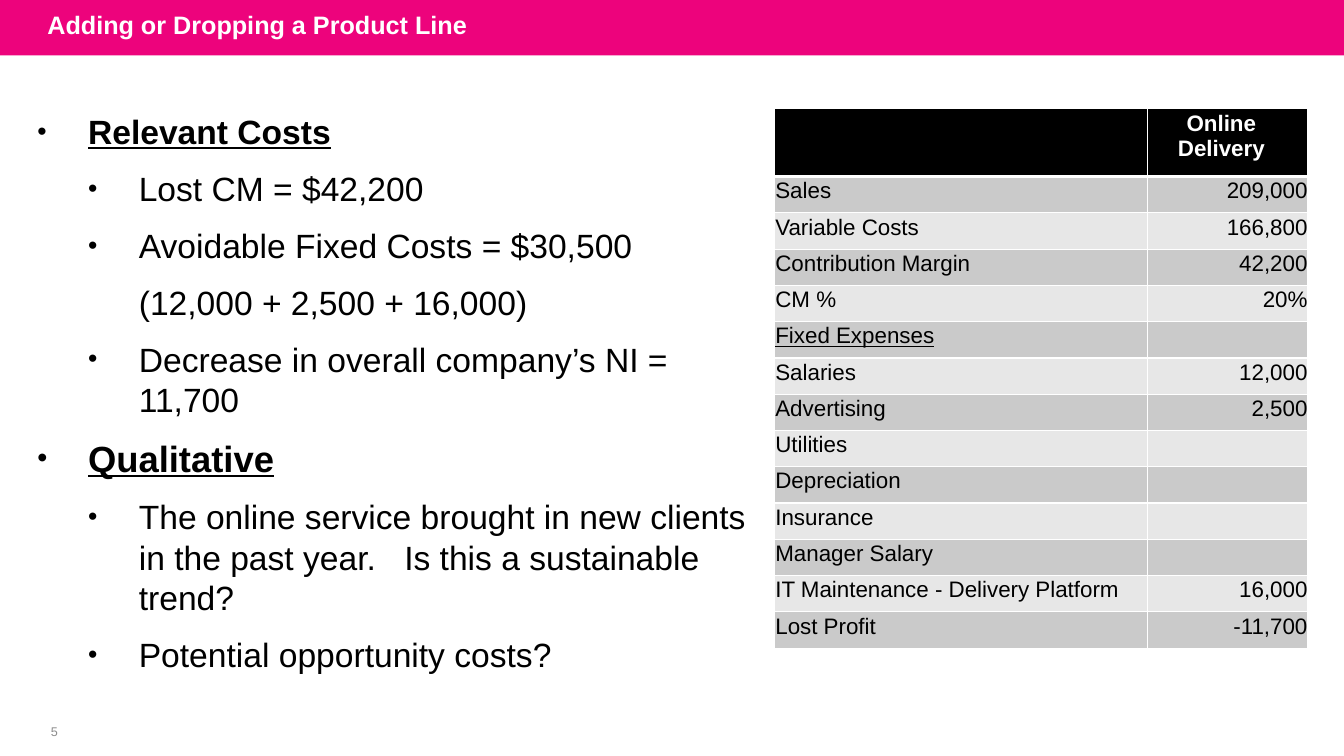
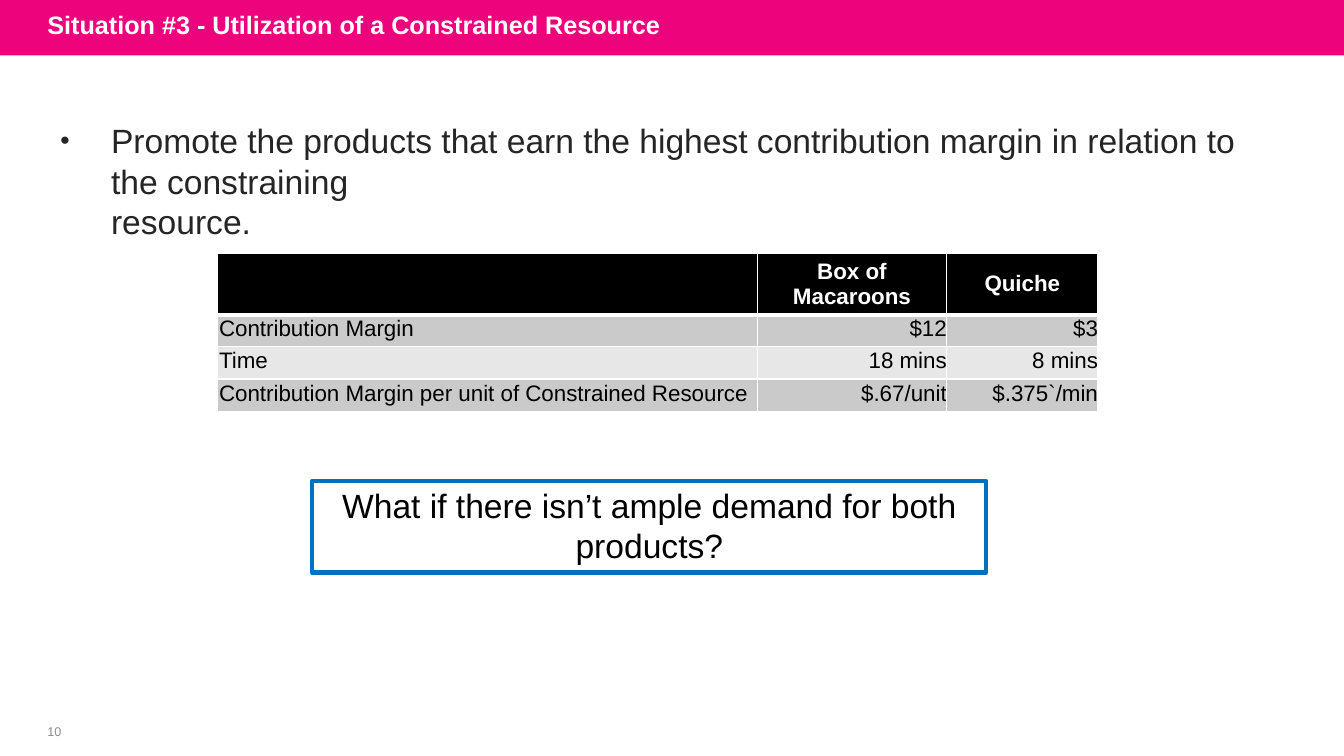
from lxml.etree import SubElement
from pptx import Presentation
from pptx.dml.color import RGBColor
from pptx.enum.shapes import MSO_SHAPE as Shape
from pptx.enum.text import MSO_ANCHOR as Anchor, MSO_AUTO_SIZE as Fit, PP_ALIGN as Align
from pptx.oxml.ns import qn
from pptx.util import Cm, Pt


def color(code):
    return RGBColor.from_string(code)


class Deck:
    font = "Arial"
    pink, white, black = "ED037C", "FFFFFF", "000000"
    gray, ink, blue = "8C8C8C", "252525", "0070C0"
    bands = ("CACACA", "E7E7E7")
    wide, high, bar = 33.87, 19.05, 1.4
    step = 1.28

    def __init__(self):
        self.file = Presentation()
        self.file.slide_width = Cm(self.wide)
        self.file.slide_height = Cm(self.high)
        self.slide = None

    def style(self, para, size, tone, bold=False, under=False, align=Align.LEFT, before=0):
        para.alignment = align
        para.space_before = Pt(before)
        for run in para.runs:
            face = run.font
            face.name, face.size = self.font, Pt(size)
            face.bold, face.underline = bold, under
            face.color.rgb = color(tone)

    def inset(self, item, left=0, top=0, right=0, bottom=0):
        item.margin_left, item.margin_top = Cm(left), Cm(top)
        item.margin_right, item.margin_bottom = Cm(right), Cm(bottom)

    def rect(self, left, top, width, height, fill=None, line=None):
        box = self.slide.shapes.add_shape(
            Shape.RECTANGLE, Cm(left), Cm(top), Cm(width), Cm(height))
        box.shadow.inherit = False
        if fill:
            box.fill.solid()
            box.fill.fore_color.rgb = color(fill)
        else:
            box.fill.background()
        if line:
            box.line.color.rgb = color(line)
            box.line.width = Pt(3)
        else:
            box.line.fill.background()
        return box

    def text(self, left, top, width, height, inset=0):
        box = self.slide.shapes.add_textbox(Cm(left), Cm(top), Cm(width), Cm(height))
        frame = box.text_frame
        frame.word_wrap = True
        self.inset(frame, top=inset)
        return frame

    def page(self, title, number):
        self.slide = self.file.slides.add_slide(self.file.slide_layouts[5])
        head = self.slide.shapes.title
        head.left, head.top = Cm(0.94), Cm(-0.08)
        head.width, head.height = Cm(26.67), Cm(self.bar)
        frame = head.text_frame
        frame.text = title
        frame.auto_size = Fit.NONE
        frame.vertical_anchor = Anchor.MIDDLE
        self.style(frame.paragraphs[0], 18, self.white, bold=True)
        band = self.rect(0, 0, self.wide, self.bar, fill=self.pink)
        head.element.addprevious(band.element)
        foot = self.text(0.71, 18.14, 1.32, 0.61)
        foot.text = str(number)
        foot.vertical_anchor = Anchor.MIDDLE
        self.style(foot.paragraphs[0], 9, self.gray, align=Align.CENTER)

    def indent(self, para, level, mark):
        para.level = level
        props = para._p.get_or_add_pPr()
        props.set("marL", str(Cm(self.step * (level + 1))))
        props.set("indent", str(Cm(-self.step if mark else 0)))
        if mark:
            SubElement(props, qn("a:buSzPct"), val="79000")
            SubElement(props, qn("a:buFont"), typeface=self.font)
            SubElement(props, qn("a:buChar"), char="•")
        else:
            SubElement(props, qn("a:buNone"))
        if "\t" in para.text:
            tabs = SubElement(props, qn("a:tabLst"))
            SubElement(tabs, qn("a:tab"), pos=str(Cm(9.25)), algn="l")

    def points(self, frame, items, tone):
        frame.text = "\n".join(item[0] for item in items)
        for para, (_, level, mark, size, head, before) in zip(frame.paragraphs, items):
            self.style(para, size, tone, bold=head, under=head, before=before)
            self.indent(para, level, mark)

    def border(self, cell, first, second):
        props = cell._tc.get_or_add_tcPr()
        widths = {"L": 1, "R": 1, "T": 3 if second else 1, "B": 3 if first else 1}
        for side, width in widths.items():
            line = SubElement(props, qn("a:ln" + side), w=str(Pt(width)))
            fill = SubElement(line, qn("a:solidFill"))
            SubElement(fill, qn("a:srgbClr"), val=self.white)

    def table(self, left, top, widths, head, row, data, pad=0, under=None):
        high = head + row * (len(data) - 1)
        grid = self.slide.shapes.add_table(
            len(data), len(widths), Cm(left), Cm(top), Cm(sum(widths)), Cm(high)).table
        for col, width in zip(grid.columns, widths):
            col.width = Cm(width)
        for r, line in enumerate(data):
            grid.rows[r].height = Cm(row if r else head)
            for c, word in enumerate(line):
                cell = grid.cell(r, c)
                self.border(cell, r == 0, r == 1)
                cell.fill.solid()
                cell.fill.fore_color.rgb = color(self.bands[(r - 1) % 2] if r else self.black)
                cell.text = word
                if r:
                    self.inset(cell, left=0.03, top=0.05)
                    side = Align.RIGHT if c else Align.LEFT
                    self.style(cell.text_frame.paragraphs[0], 16, self.black,
                               under=word == under, align=side, before=1.6)
                else:
                    self.inset(cell, right=pad, bottom=pad)
                    cell.vertical_anchor = Anchor.MIDDLE
                    for para in cell.text_frame.paragraphs:
                        self.style(para, 16, self.white, bold=True, align=Align.CENTER)

    def callout(self, left, top, width, height, words):
        frame = self.rect(left, top, width, height, line=self.blue).text_frame
        frame.text = words
        frame.word_wrap = True
        frame.vertical_anchor = Anchor.TOP
        self.inset(frame, top=0.1)
        for n, para in enumerate(frame.paragraphs):
            self.style(para, 24, self.black, align=Align.CENTER, before=0 if n else 3)


def costs(deck):
    deck.page("Adding or Dropping a Product Line", 5)
    deck.points(deck.text(0.94, 2.34, 18, 14.81, inset=0.46), [
        ("Relevant Costs", 0, True, 24, True, 12.8),
        ("Lost CM = $42,200", 1, True, 24, False, 11.8),
        ("Avoidable Fixed Costs = $30,500", 1, True, 24, False, 11.8),
        ("(12,000 + 2,500 + 16,000)", 1, False, 24, False, 11.8),
        ("Decrease in overall company’s NI = 11,700", 1, True, 24, False, 11.8),
        ("Qualitative", 0, True, 26, True, 12.2),
        ("The online service brought in new clients in the past year.\t"
         "Is this a sustainable trend?", 1, True, 24, False, 11.8),
        ("Potential opportunity costs?", 1, True, 24, False, 11.8),
    ], deck.black)
    deck.table(19.51, 2.72, (9.4, 4.04), 1.73, 11.89 / 13, [
        ("", "Online\nDelivery"),
        ("Sales", "209,000"),
        ("Variable Costs", "166,800"),
        ("Contribution Margin", "42,200"),
        ("CM %", "20%"),
        ("Fixed Expenses", ""),
        ("Salaries", "12,000"),
        ("Advertising", "2,500"),
        ("Utilities", ""),
        ("Depreciation", ""),
        ("Insurance", ""),
        ("Manager Salary", ""),
        ("IT Maintenance - Delivery Platform", "16,000"),
        ("Lost Profit", "-11,700"),
    ], pad=0.3, under="Fixed Expenses")


def limits(deck):
    deck.page("Situation #3 - Utilization of a Constrained Resource", 10)
    deck.points(deck.text(1.52, 3, 30.1, 3.12, inset=0.03), [
        ("Promote the products that earn the highest contribution margin "
         "in relation to the constraining", 0, True, 24, False, 1.1),
        ("resource.", 0, False, 24, False, 0),
    ], deck.ink)
    deck.table(5.49, 6.38, (13.59, 4.78, 3.81), 1.55, 0.81, [
        ("", "Box of\nMacaroons", "Quiche"),
        ("Contribution Margin", "$12", "$3"),
        ("Time", "18 mins", "8 mins"),
        ("Contribution Margin per unit of Constrained Resource", "$.67/unit", "$.375`/min"),
    ])
    deck.callout(7.87, 12.12, 16.99, 2.31,
                 "What if there isn’t ample demand for both\nproducts?")


def main():
    deck = Deck()
    costs(deck)
    limits(deck)
    deck.file.save("out.pptx")


if __name__ == "__main__":
    main()
